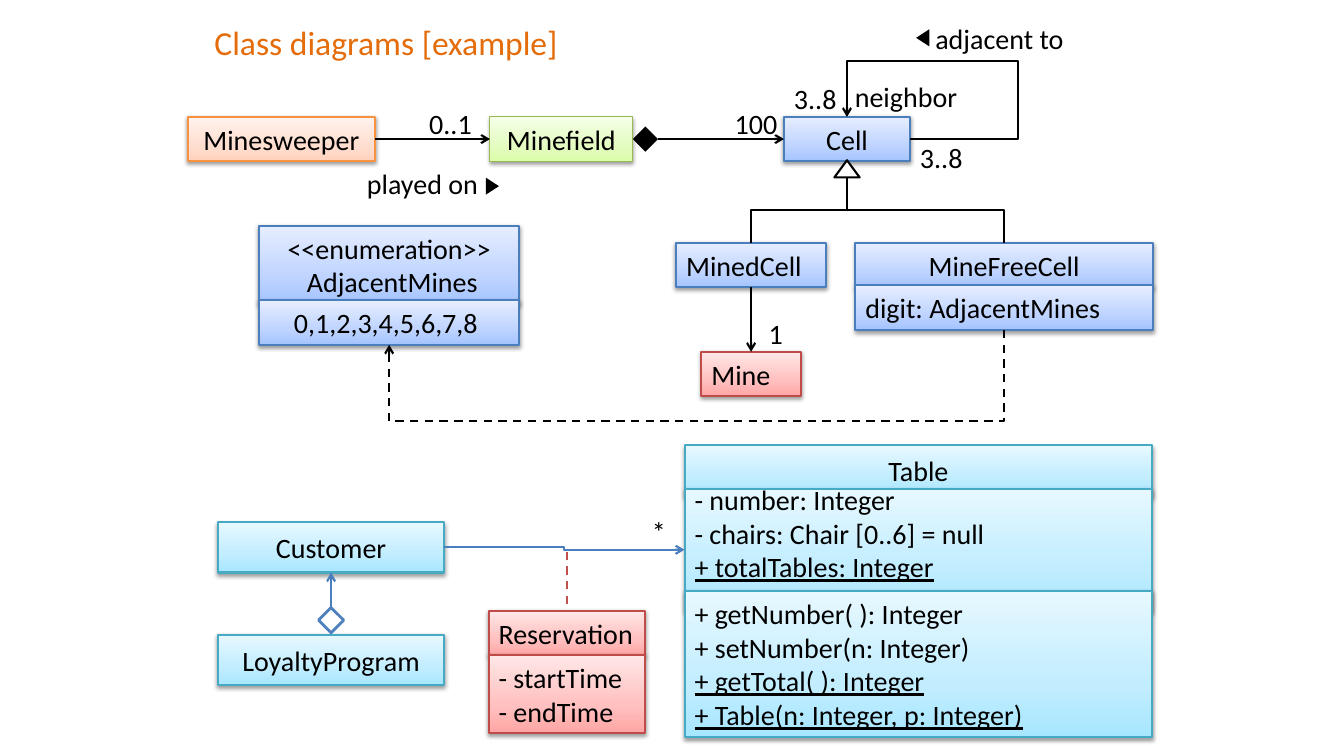
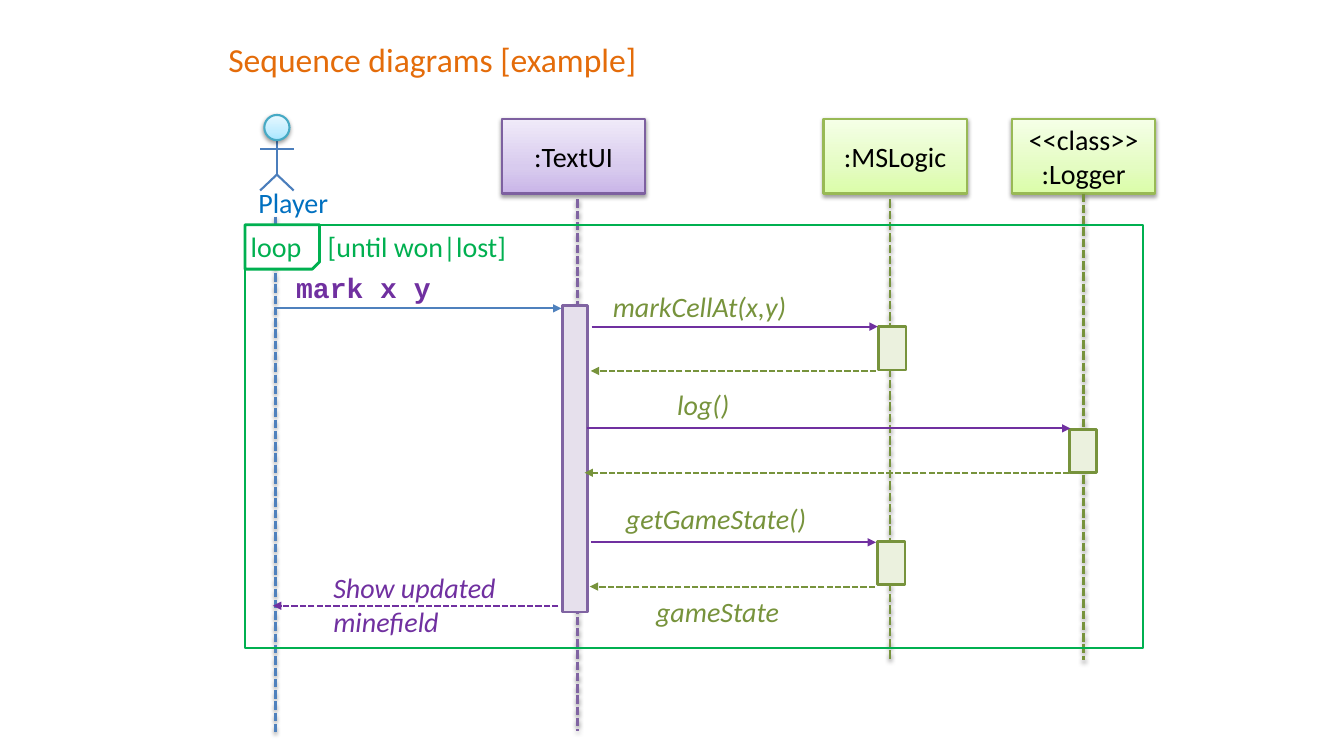
from dataclasses import dataclass, field
from typing import Any

from lxml.etree import SubElement
from pptx import Presentation
from pptx.dml.color import RGBColor
from pptx.enum.dml import MSO_LINE
from pptx.enum.shapes import MSO_CONNECTOR, MSO_SHAPE
from pptx.enum.text import MSO_ANCHOR, PP_ALIGN
from pptx.oxml.ns import qn
from pptx.util import Pt


@dataclass(frozen=True)
class Palette:
    """Outline colour and the gradient stops from bottom to top."""
    line: str
    stops: tuple
    weight: float = 1.5


@dataclass(frozen=True)
class Theme:
    """Colours, fonts and type sizes of both slides."""
    font: str = "Calibri"
    code_font: str = "Courier New"
    title_size: int = 24
    body_size: int = 20
    title: str = "E46C0A"
    black: str = "000000"
    white: str = "FFFFFF"
    connector_blue: str = "4B7EBC"
    accent_blue: str = "4F81BD"
    accent_red: str = "C0504D"
    accent_purple: str = "8064A2"
    light_purple: str = "E6E0EC"
    message_purple: str = "7030A0"
    olive: str = "77933C"
    light_olive: str = "EBF1DE"
    frame: str = "00B050"
    actor_label: str = "0070C0"
    orange: Palette = Palette("F69240", ("FFD2BD", "FFDED0", "FFF2ED"))
    thin_green: Palette = Palette("98B955", ("DAFDA7", "E4FCC2", "F5FFE7"), 0.75)
    green: Palette = Palette("98B955", ("DAFDA7", "E4FCC2", "F5FFE7"))
    blue: Palette = Palette("4B7EBC", ("A4C4FF", "BFD4FF", "E6EEFF"))
    red: Palette = Palette("BF4C48", ("FFA6A5", "FFC0BF", "FFE7E7"))
    aqua: Palette = Palette("46AAC5", ("A7E6FF", "C1EDFF", "E7F8FF"))
    purple: Palette = Palette("7D60A0", ("C9B5E8", "D8CBEE", "F0EAF9"))


THEME = Theme()
ROW = 31.7
SIDES = {0: (0.5, 0), 1: (0, 0.5), 2: (0.5, 1), 3: (1, 0.5)}


@dataclass
class Section:
    """One compartment of a class box."""
    lines: list
    height: float = ROW
    offset: float = 0
    align: Any = PP_ALIGN.CENTER
    style: dict = field(default_factory=dict)


def write_text(shape, lines, size=THEME.body_size, font=THEME.font, color=THEME.black, bold=None,
               italic=None, underlined_from=None, align=PP_ALIGN.LEFT, anchor=MSO_ANCHOR.MIDDLE,
               margins=None):
    """Write lines as paragraphs with one format."""
    frame = shape.text_frame
    frame.word_wrap = True
    frame.vertical_anchor = anchor
    if margins:
        frame.margin_top, frame.margin_bottom = (Pt(margin) for margin in margins)
    if align == PP_ALIGN.LEFT:
        frame.margin_right = 0
    for index, line in enumerate(lines):
        paragraph = frame.add_paragraph() if index else frame.paragraphs[0]
        paragraph.alignment = align
        run = paragraph.add_run()
        run.text = line
        run.font.size, run.font.name = Pt(size), font
        run.font.bold, run.font.italic = bold, italic
        run.font.color.rgb = RGBColor.from_string(color)
        if underlined_from is not None and index >= underlined_from:
            run.font.underline = True


def add_shadow(effects):
    """Put the soft lower shadow into an effect list."""
    shadow = SubElement(effects, qn("a:outerShdw"), blurRad=str(Pt(3.1)), dist=str(Pt(1.6)),
                        dir="5400000", rotWithShape="0")
    SubElement(SubElement(shadow, qn("a:srgbClr"), val=THEME.black), qn("a:alpha"), val="38000")


def side_point(shape, site):
    """Return the point of a connection site."""
    triangle = shape.auto_shape_type == MSO_SHAPE.ISOSCELES_TRIANGLE
    across, down = (0.5, 1) if triangle else SIDES[site]
    return int(shape.left + across * shape.width), int(shape.top + down * shape.height)


def bend_connector(connector, start, finish, bends, vertical):
    """Route an elbow through the given coordinates."""
    properties = connector._element.spPr
    geometry = properties.find(qn("a:prstGeom"))
    geometry.set("prst", f"bentConnector{len(bends) + 2}")
    guides = geometry.find(qn("a:avLst"))
    for index, bend in enumerate(bends):
        axis = (index + vertical) % 2
        ratio = (bend - start[axis]) / (finish[axis] - start[axis])
        SubElement(guides, qn("a:gd"), name=f"adj{index + 1}", fmla=f"val {round(ratio * 100000)}")
    if not vertical:
        return
    across, down = finish[0] - start[0], finish[1] - start[1]
    width, height = abs(down), abs(across)
    connector.left = (start[0] + finish[0] - width) // 2
    connector.top = (start[1] + finish[1] - height) // 2
    connector.width, connector.height = width, height
    transform = properties.find(qn("a:xfrm"))
    transform.set("rot", "5400000" if down > 0 else "16200000")
    transform.set("flipH", "0")
    transform.set("flipV", "1" if (across > 0) == (down > 0) else "0")


@dataclass
class Region:
    """A part of a slide that places its objects from its own corner."""
    shapes: Any
    left: float
    top: float

    def point(self, x, y):
        """Convert region points to slide units."""
        return Pt(self.left + x), Pt(self.top + y)

    def shape(self, x, y, width, height, kind=MSO_SHAPE.RECTANGLE, fill=None, line=None,
              weight=1.5, palette=None, rotation=0):
        """Add a preset shape, plain or with a palette."""
        shape = self.shapes.add_shape(kind, *self.point(x, y), Pt(width), Pt(height))
        shape.rotation = rotation
        shape.shadow.inherit = False
        if palette:
            line, weight = palette.line, palette.weight
            shape.fill.gradient()
            shape.fill.gradient_angle = 90
            stops = shape._element.spPr.find(".//" + qn("a:gsLst"))
            stops.clear()
            for position, color in zip((0, 35, 100), palette.stops):
                stop = SubElement(stops, qn("a:gs"), pos=str(position * 1000))
                SubElement(stop, qn("a:srgbClr"), val=color)
            add_shadow(shape._element.spPr.find(qn("a:effectLst")))
        elif fill:
            shape.fill.solid()
            shape.fill.fore_color.rgb = RGBColor.from_string(fill)
        else:
            shape.fill.background()
        if line:
            shape.line.color.rgb = RGBColor.from_string(line)
            shape.line.width = Pt(weight)
        else:
            shape.line.fill.background()
        return shape

    def class_box(self, x, y, width, palette, *sections):
        """Add the compartments of a class and return them."""
        boxes = []
        for section in sections:
            box = self.shape(x, y + section.offset, width, section.height, palette=palette)
            write_text(box, section.lines, align=section.align, **section.style)
            boxes.append(box)
        return boxes

    def label(self, text, x, y, width, height=ROW, anchor=MSO_ANCHOR.TOP, **style):
        """Add a text box."""
        box = self.shapes.add_textbox(*self.point(x, y), Pt(width), Pt(height))
        write_text(box, [text], anchor=anchor, **style)

    def connect(self, begin, end, color=THEME.black, weight=1.5, dash=None, start_arrow=None,
                end_arrow=None, bends=(), vertical=True, shadow=False):
        """Draw a line between points or shape sites."""
        ends = (begin, end)
        joined = [hasattr(item[0], "shape_id") for item in ends]
        start, finish = (side_point(*item) if glued else self.point(*item)
                         for item, glued in zip(ends, joined))
        kind = MSO_CONNECTOR.ELBOW if bends else MSO_CONNECTOR.STRAIGHT
        connector = self.shapes.add_connector(kind, *start, *finish)
        if joined[0]:
            connector.begin_connect(*begin)
        if joined[1]:
            connector.end_connect(*end)
        if bends:
            axes = [(index + vertical) % 2 for index in range(len(bends))]
            places = [self.point(bend, bend)[axis] for bend, axis in zip(bends, axes)]
            bend_connector(connector, start, finish, places, vertical)
        connector.line.color.rgb = RGBColor.from_string(color)
        connector.line.width = Pt(weight)
        if dash:
            connector.line.dash_style = dash
        outline = connector._element.spPr.find(qn("a:ln"))
        for tag, arrow in (("a:headEnd", start_arrow), ("a:tailEnd", end_arrow)):
            if arrow:
                SubElement(outline, qn(tag), type=arrow)
        effects = SubElement(connector._element.spPr, qn("a:effectLst"))
        if shadow:
            add_shadow(effects)


def draw_minefield(region):
    """Draw the game classes."""
    left = PP_ALIGN.LEFT
    game, = region.class_box(4, 83.5, 134, THEME.orange, Section(["Minesweeper"]))
    field_box, = region.class_box(220, 83.5, 102, THEME.thin_green, Section(["Minefield"]))
    cell, = region.class_box(430, 83.5, 90, THEME.blue, Section(["Cell"]))
    mined, = region.class_box(353, 173.5, 107, THEME.blue, Section(["MinedCell"], align=left))
    mine, = region.class_box(371, 251.3, 71, THEME.red, Section(["Mine"], align=left))
    free, digit = region.class_box(
        481, 173.5, 212.5, THEME.blue, Section(["MineFreeCell"]),
        Section(["digit: AdjacentMines"], offset=30.3, align=left))
    _, values = region.class_box(
        55, 161.3, 186, THEME.blue, Section(["<<enumeration>>", " AdjacentMines"], 55.5),
        Section(["0,1,2,3,4,5,6,7,8 "], offset=53.3))
    diamond = region.shape(322, 90.35, 18, 18, MSO_SHAPE.FLOWCHART_DECISION, THEME.black)
    parent = region.shape(466, 114.5, 18, 12.2, MSO_SHAPE.ISOSCELES_TRIANGLE, THEME.white, THEME.black)
    for x, y, rotation in ((215.6, 128.3, 90), (523, 22.3, 270)):
        region.shape(x, y, 12.2, 9.4, MSO_SHAPE.ISOSCELES_TRIANGLE, THEME.black, rotation=rotation)
    for begin, end in (((game, 3), (field_box, 1)), ((diamond, 3), (cell, 1)), ((mined, 2), (mine, 0))):
        region.connect(begin, end, end_arrow="arrow")
    for child in (mined, free):
        region.connect((child, 0), (parent, 3), bends=(150,))
    region.connect((cell, 0), (cell, 3), start_arrow="arrow", bends=(43.2, 597))
    region.connect((values, 2), (digit, 2), start_arrow="arrow", bends=(301,), dash=MSO_LINE.DASH)
    for label in (("3..8", 430, 54.7, 48), ("3..8", 520, 96.5, 48), ("1", 412, 222.5, 30),
                  ("100", 387.7, 72.7, 54), ("0..1", 169.5, 72.7, 50), ("neighbor", 473.5, 53.3, 126),
                  ("played on", 125, 115.2, 125), ("adjacent to", 531, 11.5, 126)):
        region.label(*label)


def draw_restaurant(region):
    """Draw the table booking classes."""
    left = PP_ALIGN.LEFT
    _, attributes, _ = region.class_box(
        339, 8.2, 334, THEME.aqua, Section(["Table"], 36),
        Section(["- number: Integer", "- chairs: Chair [0..6] = null", "+ totalTables: Integer"],
                87, 31, left, {"underlined_from": 2, "margins": (0, 24)}),
        Section(["+ getNumber( ): Integer", "+ setNumber(n: Integer)", "+ getTotal( ): Integer",
                 "+ Table(n: Integer, p: Integer)"], 104.4, 103.8, left, {"underlined_from": 2}))
    customer, = region.class_box(6, 63, 161, THEME.aqua, Section(["Customer"], 36))
    region.class_box(6, 143.6, 161, THEME.aqua, Section(["LoyaltyProgram"], 36))
    reservation, _ = region.class_box(
        199, 126.3, 112, THEME.red, Section(["Reservation"], align=left),
        Section(["- startTime", "- endTime"], 55.5, ROW, left))
    diamond = region.shape(77.5, 124, 18, 18, MSO_SHAPE.FLOWCHART_DECISION, THEME.white,
                           THEME.accent_blue, 2)
    region.connect((customer, 3), (attributes, 1), THEME.connector_blue, end_arrow="arrow",
                   bends=(253,), vertical=False)
    region.connect((diamond, 0), (customer, 2), THEME.connector_blue, end_arrow="arrow")
    region.connect((255, 84), (reservation, 0), THEME.accent_red, dash=MSO_LINE.DASH)
    region.label("*", 308.6, 54.3, 25)


def draw_actor(region):
    """Draw the stick figure as one group."""
    figure = Region(region.shapes.add_group_shape().shapes, region.left, region.top)
    for begin, end in (((12, 12), (12, 42.6)), ((0, 24.6), (24, 24.6)),
                       ((12, 42.6), (0, 54)), ((12, 42.6), (24, 54))):
        figure.connect(begin, end, THEME.connector_blue)
    figure.shape(3, 0, 18, 18, MSO_SHAPE.OVAL, palette=THEME.aqua)


def draw_sequence(region):
    """Draw the lifelines and messages of one game loop."""
    heads = [region.class_box(x, 5, 102.3, palette, Section(lines, 53.3, style={"margins": (0, 0)}))[0]
             for x, palette, lines in ((188.6, THEME.purple, [":TextUI"]),
                                       (418.2, THEME.green, [":MSLogic"]),
                                       (552.9, THEME.green, ["<<class>>", ":Logger"]))]
    for begin, end, color in (((26.6, 74.8), (26.6, 443.5), THEME.accent_blue),
                              ((242.6, 62.5), (242.6, 442), THEME.accent_purple),
                              ((465.8, 62.5), (465.8, 391.6), THEME.olive),
                              ((heads[2], 2), (604.05, 391.6), THEME.olive)):
        region.connect(begin, end, color, 2, MSO_LINE.SQUARE_DOT, shadow=True)
    draw_actor(Region(region.shapes, region.left + 15.8, region.top + 2.1))
    region.shape(231.8, 138.2, 18, 219, fill=THEME.light_purple, line=THEME.accent_purple, weight=2)
    for x, y in ((457.8, 153.3), (457.1, 306.6), (593.9, 226.7)):
        region.shape(x, y, 19.4, 31, fill=THEME.light_olive, line=THEME.olive, weight=2)
    region.shape(5, 80.6, 641.5, 302.4, line=THEME.frame)
    tab = region.shape(5, 80.6, 53.3, ROW, MSO_SHAPE.SNIP_1_RECTANGLE, THEME.white, THEME.frame, 2)
    tab._element.spPr.find(qn("a:xfrm")).set("flipV", "1")
    solid, dashed = None, MSO_LINE.SQUARE_DOT
    for start, end, y, color, dash in ((26.6, 231, 140.3, THEME.accent_blue, solid),
                                       (252.6, 457, 153.3, THEME.message_purple, solid),
                                       (455.7, 252, 185, THEME.olive, dashed),
                                       (249, 594.6, 226, THEME.message_purple, solid),
                                       (593.9, 247.6, 257.7, THEME.olive, dashed),
                                       (252, 455.7, 307.4, THEME.message_purple, solid),
                                       (455, 251.2, 339, THEME.olive, dashed),
                                       (228.9, 25, 352.7, THEME.message_purple, dashed)):
        region.connect((start, y), (end, y), color, dash=dash, end_arrow="triangle")
    for label in (("markCellAt(x,y)", 260.6, 123, 201), ("log()", 306.6, 193.6, 77),
                  ("getGameState()", 270, 275, 177), ("gameState", 291.5, 341.2, 135)):
        region.label(*label, color=THEME.olive, italic=True)
    region.label("mark x y", 34.5, 110, 183, font=THEME.code_font, color=THEME.message_purple, bold=True)
    region.label("Show updated minefield", 61, 324, 150, 55.5, color=THEME.message_purple, italic=True)
    region.label("Player", -3, 49, 85, color=THEME.actor_label, align=PP_ALIGN.CENTER)
    for text, x, width in (("loop", 2, 55), ("[until won|lost]", 57, 182)):
        region.label(text, x, 80.6, width, 30, MSO_ANCHOR.MIDDLE, color=THEME.frame)


def add_slide(presentation, title, box, regions):
    """Add a titled slide and draw its regions."""
    slide = presentation.slides.add_slide(presentation.slide_layouts[6])
    Region(slide.shapes, 0, 0).label(title, *box, MSO_ANCHOR.MIDDLE, size=THEME.title_size,
                                     color=THEME.title)
    for draw, left, top in regions:
        draw(Region(slide.shapes, left, top))


def main():
    """Build and save the presentation."""
    presentation = Presentation()
    presentation.slide_width, presentation.slide_height = Pt(960), Pt(540)
    add_slide(presentation, "Class diagrams [example]", (146, 15, 286, 30),
              ((draw_minefield, 130, 0), (draw_restaurant, 150, 310)))
    add_slide(presentation, "Sequence diagrams [example]", (156, 22, 648, 40),
              ((draw_sequence, 170, 80),))
    presentation.save("out.pptx")


if __name__ == "__main__":
    main()
